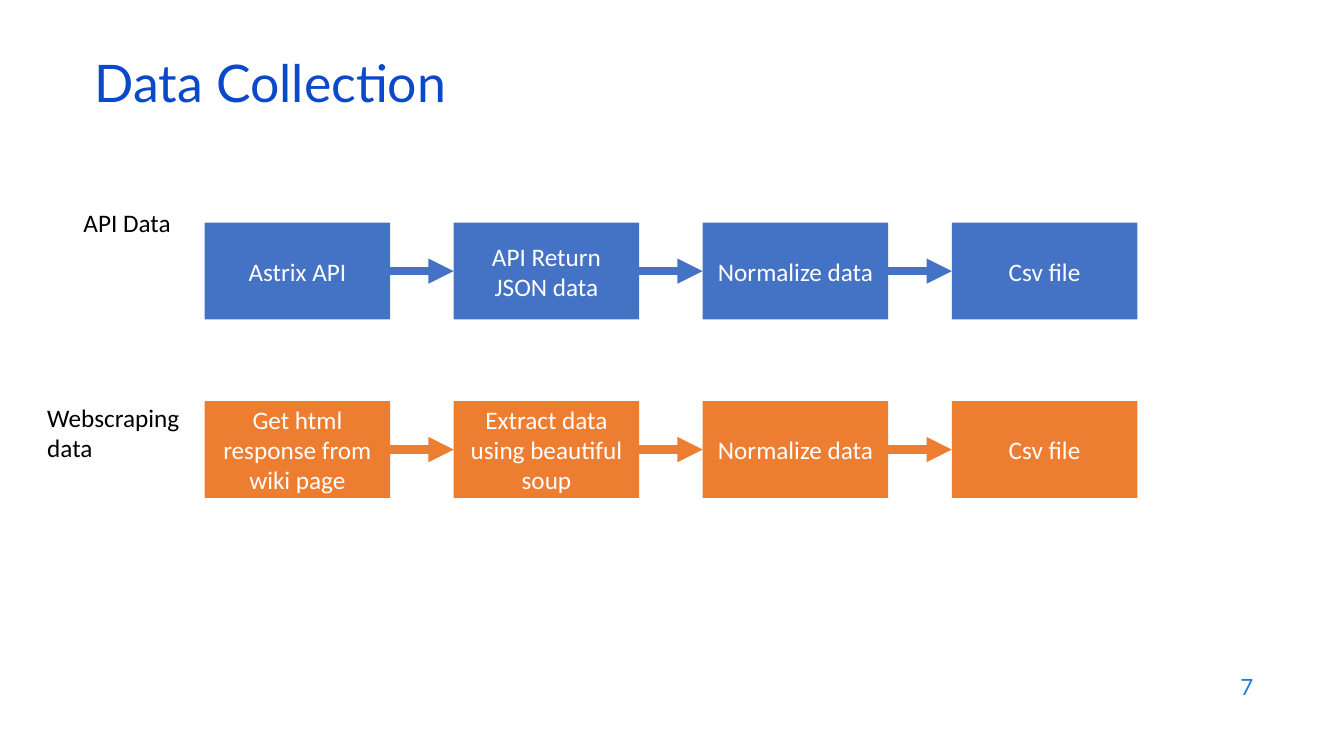
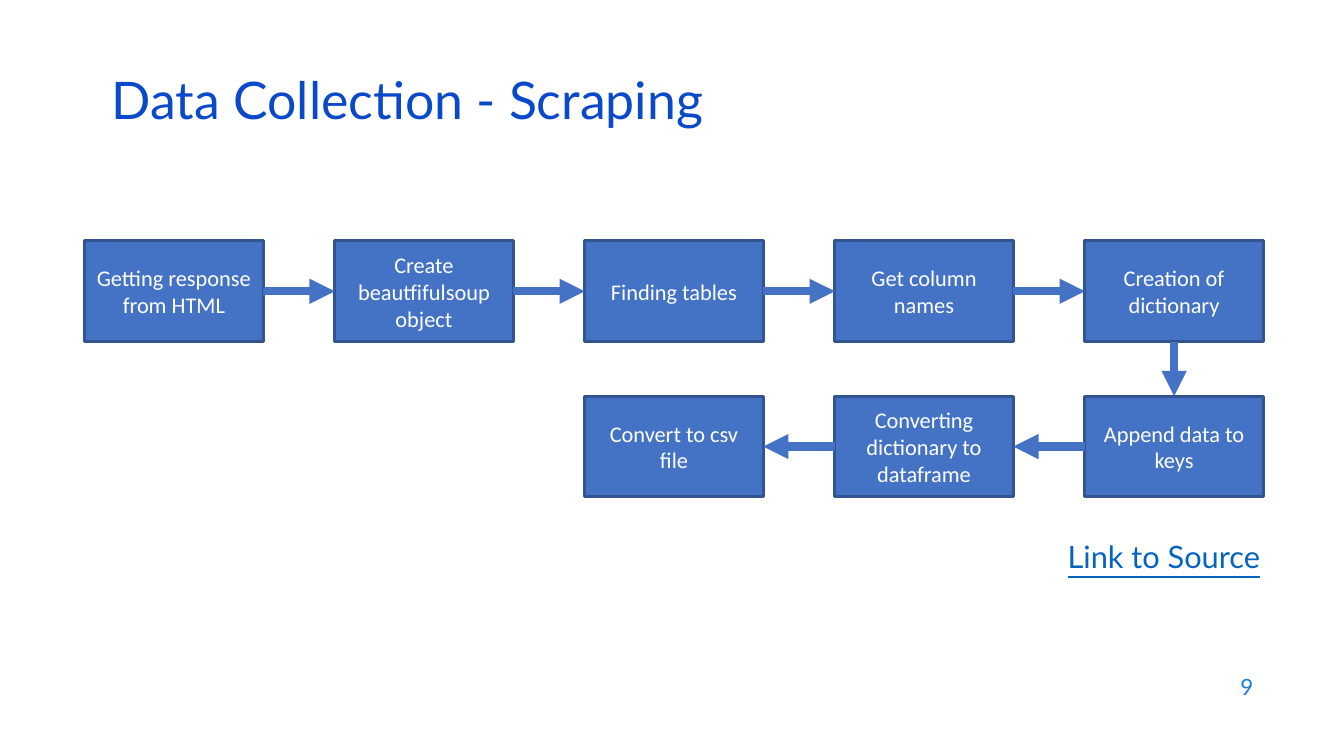
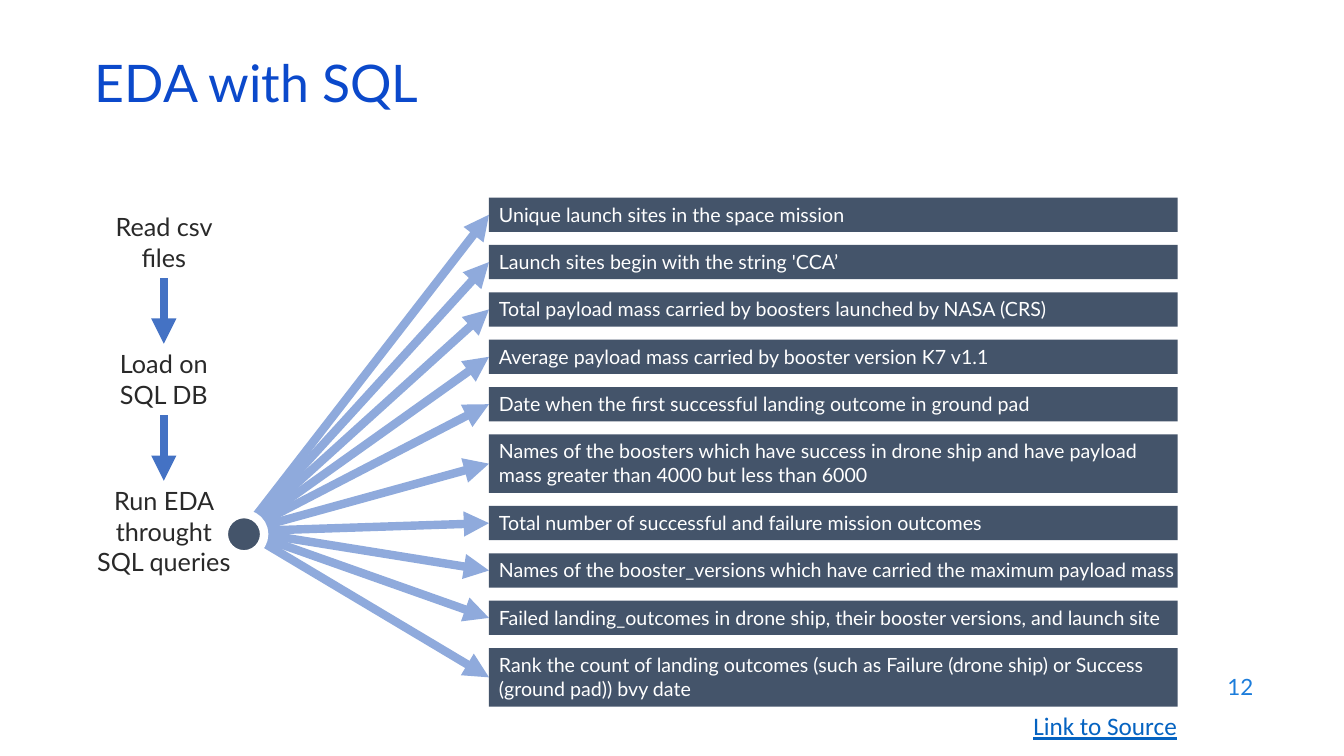
import itertools
from dataclasses import dataclass

import pptx
import pptx.dml.color
import pptx.enum.shapes
import pptx.enum.text
import pptx.oxml
import pptx.oxml.ns
import pptx.util
from pptx.util import Inches

ALIGN = pptx.enum.text.PP_ALIGN
ANCHOR = pptx.enum.text.MSO_ANCHOR
SHAPE = pptx.enum.shapes.MSO_SHAPE
TOP, LEFT, BOTTOM, RIGHT = range(4)


@dataclass(frozen=True)
class Theme:
    heading_font: str = "Lato"
    body_font: str = "Calibri"
    title: str = "0B49CB"
    page_number: str = "1C7DDB"
    blue: str = "4472C4"
    blue_edge: str = "325491"
    light_blue: str = "8FAADC"
    orange: str = "ED7D31"
    slate: str = "44546A"
    link: str = "0563C1"
    ink: str = "292929"
    black: str = "000000"
    white: str = "FFFFFF"
    title_size: float = 37
    large_link_size: float = 22
    label_size: float = 18
    box_size: float = 16
    bar_size: float = 14
    arrow_width: float = 6
    edge_width: float = 2.25


class Deck:
    """Holds the style and the slide being built."""

    def __init__(self, theme):
        self.theme = theme
        self.presentation = pptx.Presentation()
        self.presentation.slide_width = Inches(13.33)
        self.presentation.slide_height = Inches(7.5)
        self.slide = None

    def color(self, value):
        return pptx.dml.color.RGBColor.from_string(value)

    def set_text(self, shape, text, size, color, font, align=ALIGN.LEFT,
                 anchor=ANCHOR.TOP, wrap=True, underline=None):
        frame = shape.text_frame
        frame.text = text
        frame.word_wrap = wrap
        frame.auto_size = pptx.enum.text.MSO_AUTO_SIZE.NONE
        frame.vertical_anchor = anchor
        for paragraph in frame.paragraphs:
            paragraph.alignment = align
            for run in paragraph.runs:
                run.font.name = font
                run.font.size = pptx.util.Pt(size)
                run.font.color.rgb = self.color(color)
                run.font.underline = underline

    def new_slide(self, title, number, left=0.84, top=0.59):
        layout = self.presentation.slide_layouts[5]
        self.slide = self.presentation.slides.add_slide(layout)
        theme = self.theme
        # Title
        shape = self.slide.shapes.title
        shape.left, shape.top = Inches(left), Inches(top)
        shape.width, shape.height = Inches(11.5), Inches(0.6)
        self.set_text(shape, title, theme.title_size, theme.title,
                      theme.heading_font, anchor=ANCHOR.MIDDLE)
        shape.text_frame.paragraphs[0].line_spacing = 0.7
        # Page number
        self.text(number, 9.53, 6.59, 3, 0.44, theme.box_size,
                  theme.page_number, theme.heading_font,
                  align=ALIGN.RIGHT, anchor=ANCHOR.MIDDLE)

    def text(self, text, left, top, width, height, size, color, font, **style):
        shape = self.slide.shapes.add_textbox(
            Inches(left), Inches(top), Inches(width), Inches(height))
        self.set_text(shape, text, size, color, font, **style)
        return shape

    def shape(self, kind, left, top, width, height, fill, edge=None, edge_width=0):
        shape = self.slide.shapes.add_shape(
            kind, Inches(left), Inches(top), Inches(width), Inches(height))
        shape.shadow.inherit = False
        shape.fill.solid()
        shape.fill.fore_color.rgb = self.color(fill)
        if edge:
            shape.line.color.rgb = self.color(edge)
            shape.line.width = pptx.util.Pt(edge_width)
        else:
            shape.line.fill.background()
        return shape

    def box(self, text, left, top, width, height, size, fill, edge=None):
        shape = self.shape(SHAPE.RECTANGLE, left, top, width, height, fill,
                           edge, self.theme.edge_width)
        self.set_text(shape, text, size, self.theme.white, self.theme.body_font,
                      align=ALIGN.CENTER, anchor=ANCHOR.MIDDLE)
        return shape

    def bar(self, text, left, top, width, height):
        shape = self.shape(SHAPE.RECTANGLE, left, top, width, height,
                           self.theme.slate)
        self.set_text(shape, text, self.theme.bar_size, self.theme.white,
                      self.theme.heading_font)
        shape.text_frame.margin_right = 0
        return shape

    def arrow(self, target, target_side, color, source=None, source_side=None,
              start=(0, 0)):
        x, y = (Inches(value) for value in start)
        connector = self.slide.shapes.add_connector(
            pptx.enum.shapes.MSO_CONNECTOR.STRAIGHT, x, y, x, y)
        if source is not None:
            connector.begin_connect(source, source_side)
        connector.end_connect(target, target_side)
        connector.line.color.rgb = self.color(color)
        connector.line.width = pptx.util.Pt(self.theme.arrow_width)
        # Arrowhead, and no shadow
        namespace = pptx.oxml.ns.nsdecls("a")
        properties = connector._element.spPr
        properties.find(pptx.oxml.ns.qn("a:ln")).append(
            pptx.oxml.parse_xml(f'<a:tailEnd {namespace} type="triangle"/>'))
        properties.append(pptx.oxml.parse_xml(f'<a:effectLst {namespace}/>'))

    def chain(self, shapes, source_side, target_side, color):
        for source, target in itertools.pairwise(shapes):
            self.arrow(target, target_side, color, source, source_side)


def build_collection(deck):
    theme = deck.theme
    deck.new_slide("Data Collection", "7")
    # One row of boxes for each data source
    rows = [
        (2.21, theme.blue, ["Astrix API", "API Return JSON data",
                            "Normalize data", "Csv file"]),
        (3.98, theme.orange, ["Get html response from wiki page",
                              "Extract data using beautiful soup",
                              "Normalize data", "Csv file"]),
    ]
    for top, fill, steps in rows:
        boxes = [deck.box(step, 2.03 + 2.47 * column, top, 1.84, 0.96,
                          theme.label_size, fill)
                 for column, step in enumerate(steps)]
        deck.chain(boxes, RIGHT, LEFT, fill)
    # Row labels
    for label, left, top, width, height in [
            ("API Data", 0.73, 2.01, 1.07, 0.4),
            ("Webscraping\ndata", 0.37, 3.94, 1.59, 0.71)]:
        deck.text(label, left, top, width, height, theme.label_size,
                  theme.black, theme.body_font, wrap=False)


def build_scraping(deck):
    theme = deck.theme
    deck.new_slide("Data Collection - Scraping", "9", left=1.01, top=0.76)

    def step_box(step, column, top):
        return deck.box(step, 0.84 + 2.48 * column, top, 1.77, 1,
                        theme.box_size, theme.blue, theme.blue_edge)

    # Upper row runs right, lower row runs back left
    upper = [step_box(step, column, 2.39) for column, step in enumerate([
        "Getting response from HTML", "Create beautfifulsoup object",
        "Finding tables", "Get column names", "Creation of dictionary"])]
    lower = [step_box(step, 4 - index, 3.93) for index, step in enumerate([
        "Append data to keys", "Converting dictionary to dataframe",
        "Convert to csv file"])]
    deck.chain(upper, RIGHT, LEFT, theme.blue)
    deck.chain([upper[-1], lower[0]], BOTTOM, TOP, theme.blue)
    deck.chain(lower, LEFT, RIGHT, theme.blue)
    deck.text("Link to Source", 10.49, 5.29, 2.15, 0.53, theme.large_link_size,
              theme.link, theme.heading_font, underline=True)


def build_queries(deck):
    theme = deck.theme
    deck.new_slide("EDA with SQL", "12")
    # Steps down the left
    steps = [deck.text(step, 0.84, 2.05 + 1.36 * row, 1.57, height,
                       theme.label_size, theme.ink, theme.heading_font,
                       align=ALIGN.CENTER)
             for row, (step, height) in enumerate([
                 ("Read csv files", 0.71), ("Load on SQL DB", 0.71),
                 ("Run EDA throught SQL queries", 1.01)])]
    deck.chain(steps, BOTTOM, TOP, theme.blue)
    # Query bars, stacked with an equal gap
    one_line, two_lines, gap = 0.34, 0.58, 0.13
    queries = [
        ("Unique launch sites in the space mission", one_line),
        ("Launch sites begin with the string 'CCA’", one_line),
        ("Total payload mass carried by boosters launched by NASA (CRS)", one_line),
        ("Average payload mass carried by booster version K7 v1.1", one_line),
        ("Date when the first successful landing outcome in ground pad", one_line),
        ("Names of the boosters which have success in drone ship and have "
         "payload mass greater than 4000 but less than 6000", two_lines),
        ("Total number of successful and failure mission outcomes", one_line),
        ("Names of the booster_versions which have carried the maximum "
         "payload mass", one_line),
        ("Failed landing_outcomes in drone ship, their booster versions, "
         "and launch site", one_line),
        ("Rank the count of landing outcomes (such as Failure (drone ship) "
         "or Success (ground pad)) bvy date", two_lines),
    ]
    top = 1.96
    bars = []
    for query, height in queries:
        bars.append(deck.bar(query, 4.85, top, 6.83, height))
        top += height + gap
    # Arrows fanning out from the hub
    for bar in bars:
        deck.arrow(bar, LEFT, theme.light_blue, start=(2.42, 5.27))
    deck.shape(SHAPE.OVAL, 2.22, 5.1, 0.4, 0.4, theme.slate,
               theme.white, theme.arrow_width)
    deck.text("Link to Source", 10.15, 7, 1.76, 0.4, theme.label_size,
              theme.link, theme.body_font, underline=True)


def main():
    deck = Deck(Theme())
    build_collection(deck)
    build_scraping(deck)
    build_queries(deck)
    deck.presentation.save("out.pptx")


if __name__ == "__main__":
    main()
